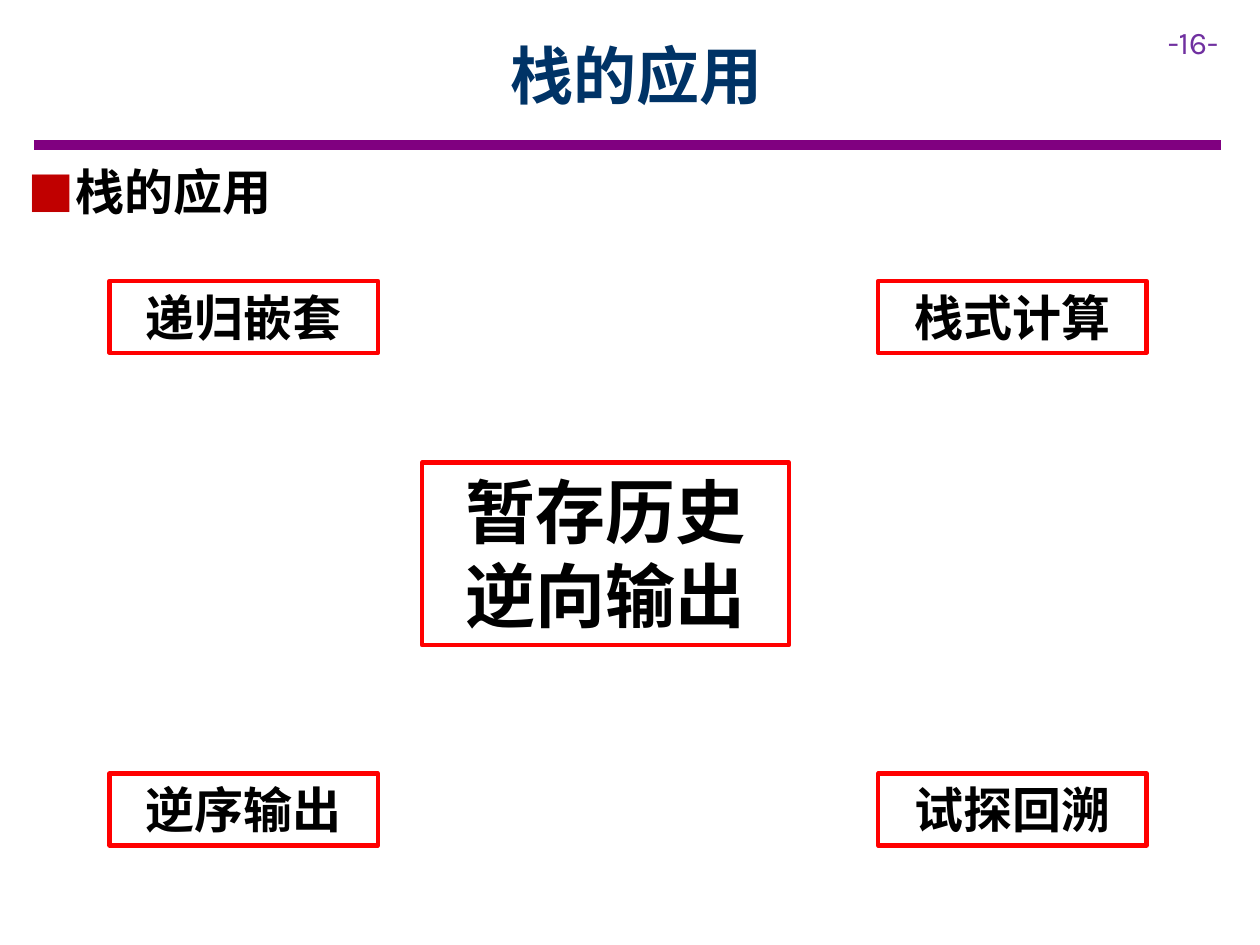
import pptx
import pptx.util
import pptx.dml.color
import pptx.enum.shapes
import pptx.enum.text
import pptx.oxml.ns
import lxml.etree

Inch, Pt = pptx.util.Inches, pptx.util.Pt
qn = pptx.oxml.ns.qn
Align = pptx.enum.text.PP_ALIGN
Anchor = pptx.enum.text.MSO_ANCHOR

theme = {
    "han": "Noto Sans CJK SC", "latin": "Karla",
    "head": "003366", "ink": "000000", "page": "7030A0",
    "rule": "800080", "edge": "FF0000", "mark": "C00000",
    "big": 40, "title": 36, "body": 28, "small": 18,
}


def rgb(name):
    return pptx.dml.color.RGBColor.from_string(theme[name])


def write(shape, text, size="body", color="ink", font="han", bold=True,
          align=Align.LEFT, anchor=Anchor.TOP):
    frame = shape.text_frame
    frame.word_wrap = True
    frame.auto_size = pptx.enum.text.MSO_AUTO_SIZE.NONE
    frame.vertical_anchor = anchor
    para = frame.paragraphs[0]
    para.alignment = align
    run = para.add_run()
    run.text = text
    run.font.size = Pt(theme[size])
    run.font.bold = bold
    run.font.name = theme[font]
    run.font.color.rgb = rgb(color)
    # East Asian glyphs take their own typeface entry
    east = lxml.etree.Element(qn("a:ea"), typeface=theme[font])
    run.font._element.find(qn("a:latin")).addnext(east)
    return para


deck = pptx.Presentation()
deck.slide_width, deck.slide_height = Inch(10), Inch(7.5)
slide = deck.slides.add_slide(deck.slide_layouts[5])
shapes = slide.shapes

# Rule under the title
rule = shapes.add_connector(pptx.enum.shapes.MSO_CONNECTOR.STRAIGHT,
                            Inch(0.27), Inch(1.15), Inch(9.69), Inch(1.15))
rule.line.color.rgb = rgb("rule")
rule.line.width = Pt(6)
lxml.etree.SubElement(rule._element.spPr, qn("a:effectLst"))

# Page number
page = shapes.add_textbox(Inch(9.17), Inch(0.13), Inch(0.83), Inch(0.4))
write(page, "-16-", size="small", color="page", font="latin", bold=False)

# Title
title = shapes.title
title.left, title.top = Inch(0.9), Inch(0.09)
title.width, title.height = Inch(8.31), Inch(1)
write(title, "栈的应用", size="title", color="head",
      align=Align.CENTER, anchor=Anchor.MIDDLE)

# Bulleted heading
topic = shapes.add_textbox(Inch(0.12), Inch(1.23), Inch(8.98), Inch(0.57))
para = write(topic, "栈的应用")
para.space_after = Pt(6)
props = para._p.get_or_add_pPr()
props.set("marL", str(Inch(0.38)))
props.set("indent", str(-Inch(0.38)))
tint = lxml.etree.SubElement(props, qn("a:buClr"))
lxml.etree.SubElement(tint, qn("a:srgbClr"), val=theme["mark"])
lxml.etree.SubElement(props, qn("a:buFont"), typeface=theme["latin"])
lxml.etree.SubElement(props, qn("a:buChar"), char="■")

# Core idea in the middle, one use in each corner
cols, rows = (0.87, 6.97), (2.23, 6.14)
uses = (("递归嵌套", "栈式计算"), ("逆序输出", "试探回溯"))
boxes = [("暂存历史逆向输出", 3.35, 3.67, 2.91, 1.45, "big")]
for top, line in zip(rows, uses):
    for left, text in zip(cols, line):
        boxes.append((text, left, top, 2.13, 0.57, "body"))

for text, left, top, wide, high, size in boxes:
    box = shapes.add_shape(pptx.enum.shapes.MSO_SHAPE.RECTANGLE,
                           Inch(left), Inch(top), Inch(wide), Inch(high))
    box.shadow.inherit = False
    box.fill.background()
    box.line.color.rgb = rgb("edge")
    box.line.width = Pt(2.5)
    write(box, text, size=size, align=Align.CENTER)

deck.save("out.pptx")
